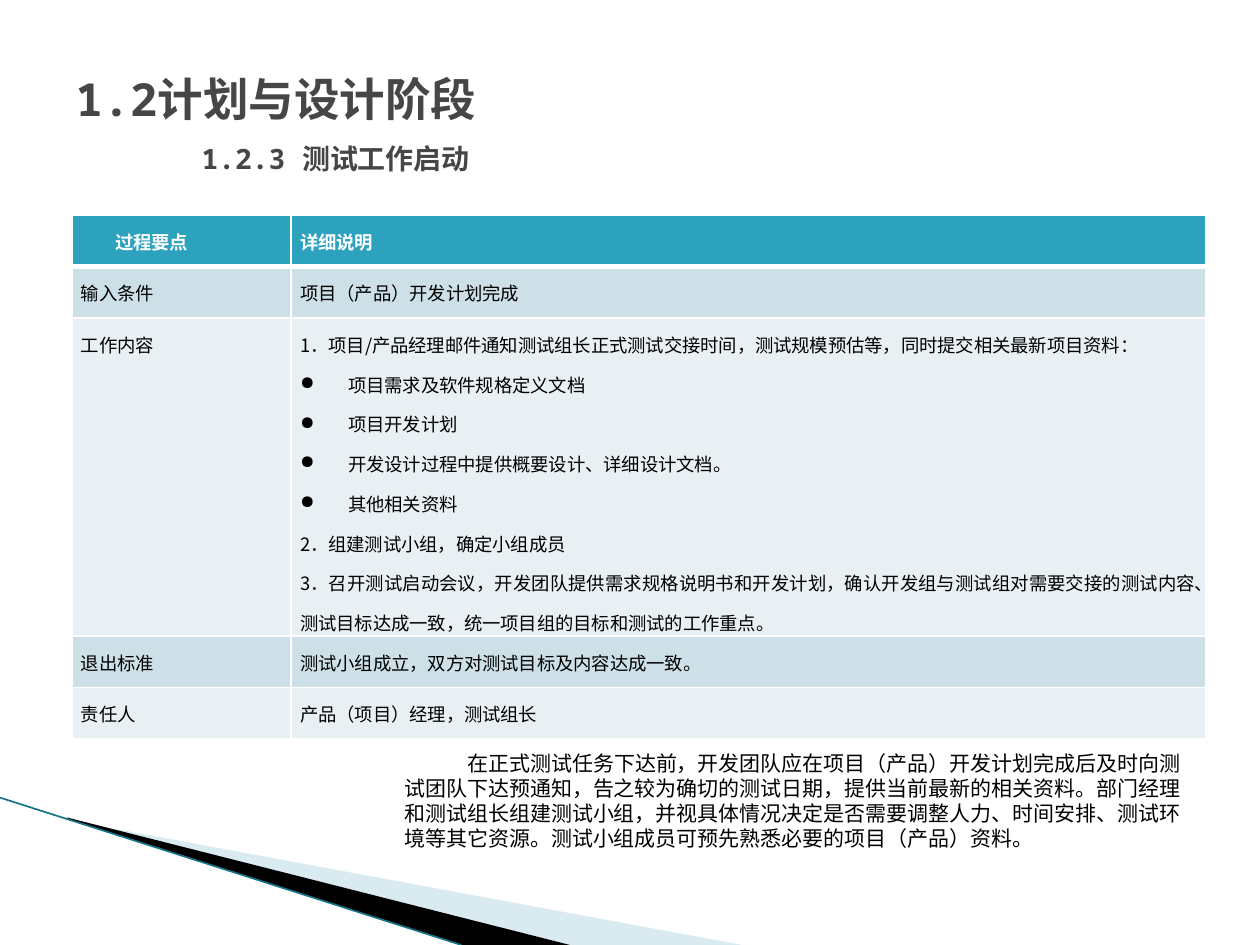
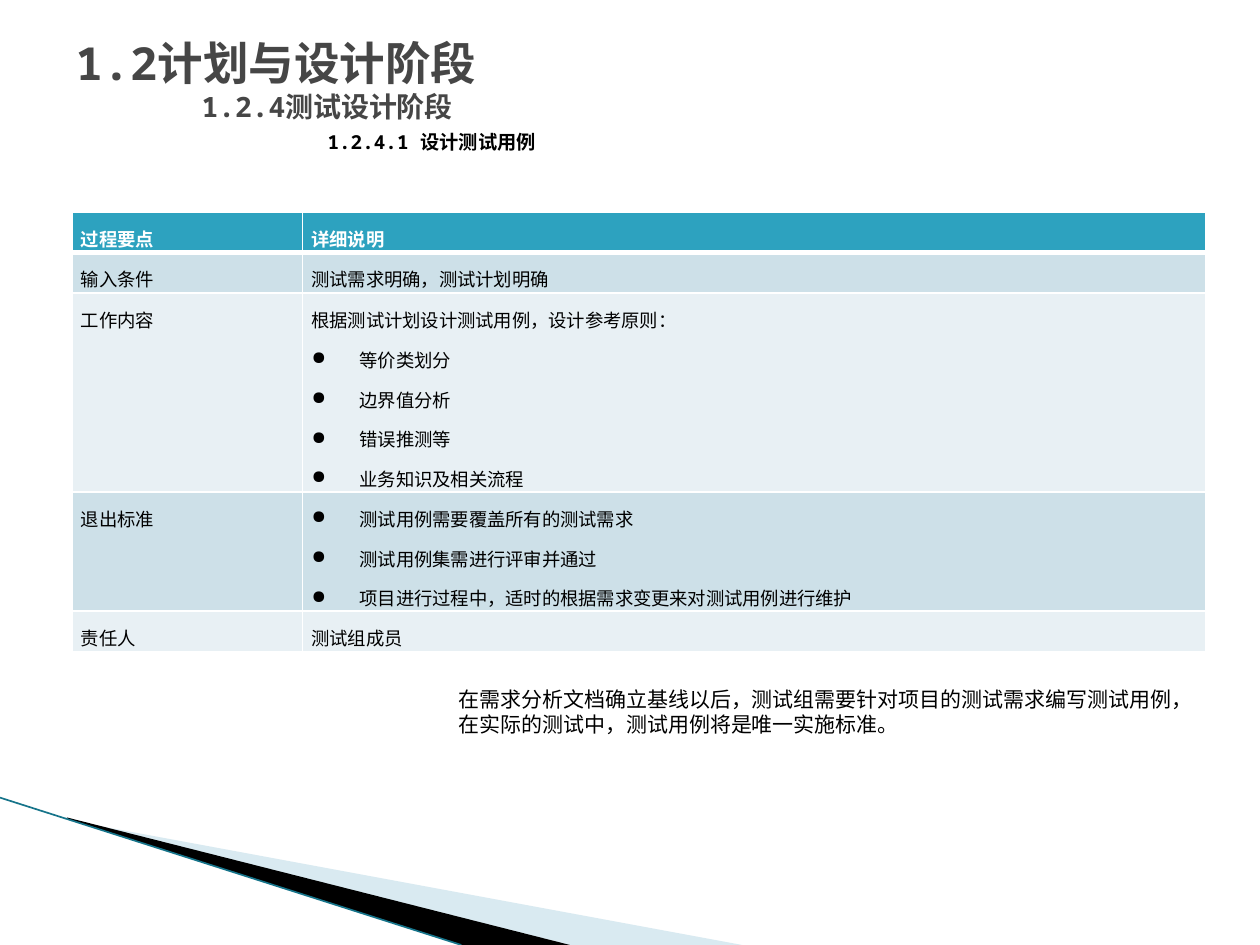
from pptx import Presentation
from pptx.util import Cm, Pt
from pptx.dml.color import RGBColor
from pptx.enum.shapes import MSO_CONNECTOR as Link
from pptx.enum.text import PP_ALIGN as Align, MSO_ANCHOR as Anchor, MSO_AUTO_SIZE as Fit
from pptx.oxml.ns import qn
from lxml.etree import SubElement as Sub

CJK, MONO = "Noto Sans CJK SC", "Noto Sans Mono"
WHITE, BLACK, GREY = "FFFFFF", "000000", "464646"
HEAD, BANDS = "2DA2BF", ("E8F0F4", "CDE0E8")
PALE, EDGE = "A0CBDC", "16748A"
LEFT, WIDE = 1.45, 22.86
DOT = "●"


def rgb(code):
    return RGBColor.from_string(code)


def write(par, text, size=10.5, font=CJK, color=BLACK, bold=False, align=Align.LEFT,
          space=None, before=0, left=0, first=0, bullet=None):
    """Fill one paragraph; left and first are indents in cm."""
    par.alignment = align
    par.space_before = Pt(before)
    if space:
        par.line_spacing = space
    props = par._p.get_or_add_pPr()
    props.set("marL", str(Cm(left)))
    props.set("indent", str(Cm(first)))
    if bullet:
        Sub(props, qn("a:buChar"), char=bullet)
    else:
        Sub(props, qn("a:buNone"))
    run = par.add_run()
    run.text = text
    face = run.font
    face.size, face.bold, face.name = Pt(size), bold, font
    face.color.rgb = rgb(color)
    Sub(run._r.get_or_add_rPr(), qn("a:ea"), typeface=CJK)


def pars(frame, count):
    """Yield the first paragraph of a frame, then new ones."""
    yield frame.paragraphs[0]
    for _ in range(count - 1):
        yield frame.add_paragraph()


def wedge(slide, points, color, alpha=None):
    pen = slide.shapes.build_freeform(*[Cm(v) for v in points[0]])
    pen.add_line_segments([(Cm(x), Cm(y)) for x, y in points[1:]])
    shape = pen.convert_to_shape()
    shape.shadow.inherit = False
    shape.line.fill.background()
    shape.fill.solid()
    shape.fill.fore_color.rgb = rgb(color)
    if alpha:
        tint = shape._element.spPr.find(".//" + qn("a:srgbClr"))
        Sub(tint, qn("a:alpha"), val=str(alpha * 1000))


def corner(slide):
    """Draw the wedges and the line at the lower left."""
    wedge(slide, [(1.4, 16.54), (14.96, 19.05), (11.49, 19.05), (1.4, 16.51)], PALE, 40)
    wedge(slide, [(1.35, 16.48), (11.49, 19.05), (9.3, 19.05), (1.37, 16.51)], BLACK)
    line = slide.shapes.add_connector(Link.STRAIGHT, 0, Cm(16.08), Cm(9.3), Cm(19.05))
    line.line.color.rgb = rgb(EDGE)
    line.line.width = Pt(0.95)
    Sub(line._element.spPr, qn("a:effectLst"))


def title(slide, top, inset, lines):
    """Each line is its text and the format that it needs."""
    box = slide.shapes.title
    box.left, box.top, box.width, box.height = Cm(1.27), Cm(top), Cm(WIDE), Cm(3.18)
    frame = box.text_frame
    frame.auto_size, frame.word_wrap = Fit.NONE, True
    frame.vertical_anchor = Anchor.TOP
    frame.margin_top = Cm(inset)
    for par, (text, style) in zip(pars(frame, len(lines)), lines):
        write(par, text, **{"font": MONO, "color": GREY, "bold": True, **style})


def border(cell, low):
    """Give a cell white edges, the bottom one low points wide."""
    props = cell._tc.get_or_add_tcPr()
    for side, width in (("L", 1), ("R", 1), ("T", 1), ("B", low)):
        edge = Sub(props, qn("a:ln" + side), w=str(Pt(width)))
        Sub(Sub(edge, qn("a:solidFill")), qn("a:srgbClr"), val=WHITE)


def fill_cell(cell, text, row, left=0):
    head = row == 0
    border(cell, 3 if head else 1)
    cell.fill.solid()
    cell.fill.fore_color.rgb = rgb(HEAD if head else BANDS[row % 2])
    cell.margin_left = cell.margin_right = Cm(0.18)
    cell.margin_top = cell.margin_bottom = 0
    cell.vertical_anchor = Anchor.TOP
    lines = text.split("\n")
    for par, line in zip(pars(cell.text_frame, len(lines)), lines):
        dot = line.startswith(DOT)
        dent = {"left": 0.97, "first": -0.97, "bullet": DOT} if dot else {"left": left}
        write(par, line.lstrip(DOT), color=WHITE if head else BLACK, bold=head,
              align=Align.JUSTIFY, space=1.5, **dent)


def table(slide, top, split, highs, details, dent=0):
    """split is the width of the first column, dent the indent of its heading."""
    names = ("过程要点", "输入条件", "工作内容", "退出标准", "责任人")
    grid = slide.shapes.add_table(len(names), 2, Cm(LEFT), Cm(top),
                                  Cm(WIDE), Cm(sum(highs))).table
    grid.columns[0].width, grid.columns[1].width = Cm(split), Cm(WIDE - split)
    for row, (name, detail, high) in enumerate(zip(names, ("详细说明", *details), highs)):
        grid.rows[row].height = Cm(high)
        fill_cell(grid.cell(row, 0), name, row, 0 if row else dent)
        fill_cell(grid.cell(row, 1), detail, row)


def note(slide, left, top, width, height, text, first=0):
    box = slide.shapes.add_textbox(Cm(left), Cm(top), Cm(width), Cm(height))
    box.text_frame.word_wrap = True
    write(box.text_frame.paragraphs[0], text, size=12, font=MONO,
          space=Pt(14.3), first=first)


def start(deck):
    slide = deck.slides.add_slide(deck.slide_layouts[5])
    corner(slide)
    return slide


def launch(deck):
    slide = start(deck)
    title(slide, 0.76, 0.67, [
        ("1.2计划与设计阶段", {"size": 26}),
        ("1.2.3 测试工作启动", {"size": 16, "left": 2.54, "before": 9}),
    ])
    table(slide, 4.33, 4.42, (1.04, 1.04, 6.4, 1.04, 1.04), (
        "项目（产品）开发计划完成",
        "1．项目/产品经理邮件通知测试组长正式测试交接时间，测试规模预估等，同时提交相关最新项目资料：\n"
        "●项目需求及软件规格定义文档\n"
        "●项目开发计划\n"
        "●开发设计过程中提供概要设计、详细设计文档。\n"
        "●其他相关资料\n"
        "2．组建测试小组，确定小组成员\n"
        "3．召开测试启动会议，开发团队提供需求规格说明书和开发计划，"
        "确认开发组与测试组对需要交接的测试内容、测试目标达成一致，统一项目组的目标和测试的工作重点。",
        "测试小组成立，双方对测试目标及内容达成一致。",
        "产品（项目）经理，测试组长",
    ), dent=0.69)
    note(slide, 7.9, 15.01, 16.2, 2.31,
         "在正式测试任务下达前，开发团队应在项目（产品）开发计划完成后及时向测试团队下达预通知，"
         "告之较为确切的测试日期，提供当前最新的相关资料。部门经理和测试组长组建测试小组，"
         "并视具体情况决定是否需要调整人力、时间安排、测试环境等其它资源。"
         "测试小组成员可预先熟悉必要的项目（产品）资料。", first=1.27)


def design(deck):
    slide = start(deck)
    title(slide, 0.33, 0.38, [
        ("1.2计划与设计阶段", {"size": 26}),
        ("1.2.4测试设计阶段", {"size": 16, "left": 2.54}),
        ("1.2.4.1 设计测试用例", {"size": 11, "left": 5.08, "before": 4, "color": BLACK}),
    ])
    table(slide, 4.27, 4.65, (0.82, 0.82, 4, 2.4, 0.82), (
        "测试需求明确，测试计划明确",
        "根据测试计划设计测试用例，设计参考原则：\n"
        "●等价类划分\n●边界值分析\n●错误推测等\n●业务知识及相关流程",
        "●测试用例需要覆盖所有的测试需求\n"
        "●测试用例集需进行评审并通过\n"
        "●项目进行过程中，适时的根据需求变更来对测试用例进行维护",
        "测试组成员",
    ))
    note(slide, 8.99, 13.72, 15.29, 1.27,
         "在需求分析文档确立基线以后，测试组需要针对项目的测试需求编写测试用例，"
         "在实际的测试中，测试用例将是唯一实施标准。")


def main():
    deck = Presentation()
    deck.slide_width, deck.slide_height = Cm(25.4), Cm(19.05)
    launch(deck)
    design(deck)
    deck.save("out.pptx")


if __name__ == "__main__":
    main()
